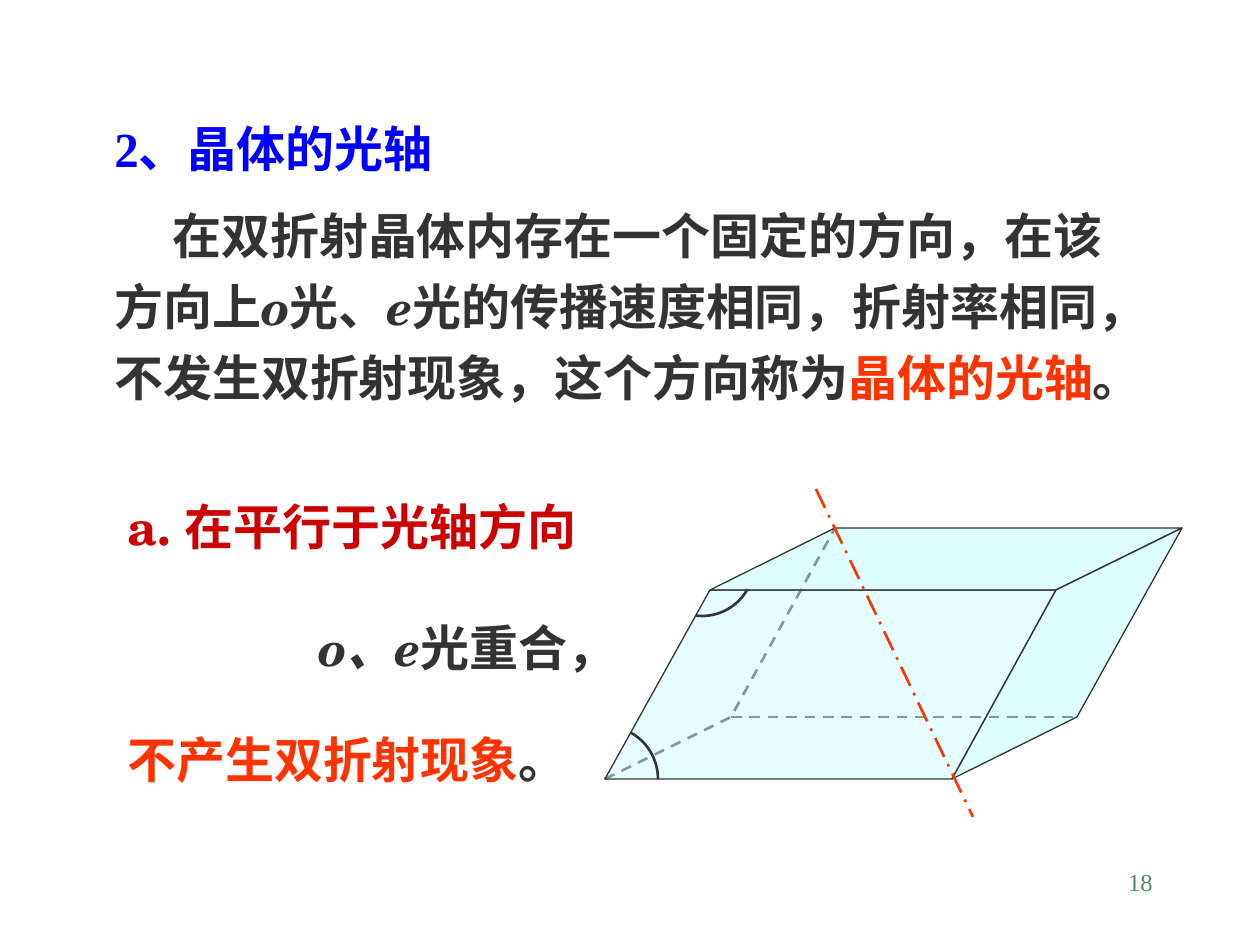
"""Build the slide on the optic axis of a crystal."""
from dataclasses import dataclass

from lxml import etree
from pptx import Presentation
from pptx.dml.color import RGBColor
from pptx.enum.dml import MSO_LINE
from pptx.enum.shapes import MSO_CONNECTOR, MSO_SHAPE
from pptx.enum.text import PP_ALIGN
from pptx.oxml.ns import qn
from pptx.util import Emu, Pt

PX = 914400 / 126
DASH = MSO_LINE.DASH
DASH_DOT = MSO_LINE.LONG_DASH_DOT
ARC = MSO_SHAPE.ARC
STRAIGHT = MSO_CONNECTOR.STRAIGHT
LEFT, RIGHT = PP_ALIGN.LEFT, PP_ALIGN.RIGHT
Point = tuple[int, int]


@dataclass(frozen=True)
class Theme:
    """Colours, fonts and sizes."""
    ink: str = "333333"
    blue: str = "0000FF"
    red: str = "CC0000"
    orange: str = "FF3300"
    green: str = "578963"
    front: str = "CCFFFF"
    side: str = "BDFFFF"
    body_font: str = "TeX Gyre Schola"
    head_font: str = "Times New Roman"
    body: int = 28
    small: int = 14
    thin: float = 0.75
    thick: float = 1.5
    spacing: float = 1.2
    opacity: int = 50000


T = Theme()


@dataclass(frozen=True)
class Run:
    """A stretch of text in one style."""
    text: str
    color: str = T.ink
    italic: bool = False


@dataclass(frozen=True)
class Label:
    """A text box of one paragraph."""
    box: tuple[int, int, int, int]
    runs: tuple[Run, ...]
    font: str = T.body_font
    size: int = T.body
    bold: bool = True
    align: PP_ALIGN = LEFT
    spacing: float = T.spacing
    indent: int = 0


@dataclass(frozen=True)
class Face:
    """A translucent face of the crystal."""
    points: tuple[Point, ...]
    fill: str


@dataclass(frozen=True)
class Angle:
    """An arc that marks a corner, in degrees clockwise from east."""
    center: Point
    radius: int
    start: int
    end: int


def px(n: int) -> Emu:
    """Turn pixels into EMU."""
    return Emu(round(n * PX))


def style_line(line, color: str, width: float, dash=None) -> None:
    """Set the colour, width and dash of a line."""
    line.color.rgb = RGBColor.from_string(color)
    line.width = Pt(width)
    if dash is not None:
        line.dash_style = dash


def draw_label(s, label: Label) -> None:
    """Add a text box run by run."""
    tf = s.shapes.add_textbox(*map(px, label.box)).text_frame
    tf.word_wrap = True
    p = tf.paragraphs[0]
    p.alignment = label.align
    p.line_spacing = label.spacing
    if label.indent:
        p._p.get_or_add_pPr().set("indent", str(px(label.indent)))
    for run in label.runs:
        r = p.add_run()
        r.text = run.text
        r.font.name = label.font
        r.font.size = Pt(label.size)
        r.font.bold = label.bold
        r.font.italic = run.italic
        r.font.color.rgb = RGBColor.from_string(run.color)


def draw_path(s, points: tuple[Point, ...], close: bool):
    """Add an outline through the points."""
    fb = s.shapes.build_freeform(*points[0], scale=PX)
    fb.add_line_segments(points[1:], close=close)
    sp = fb.convert_to_shape()
    sp.shadow.inherit = False
    return sp


def draw_face(s, face: Face) -> None:
    """Add a filled face with a thin edge."""
    sp = draw_path(s, face.points, True)
    sp.fill.solid()
    sp.fill.fore_color.rgb = RGBColor.from_string(face.fill)
    clr = sp._element.spPr.find(qn("a:solidFill")).find(qn("a:srgbClr"))
    etree.SubElement(clr, qn("a:alpha")).set("val", str(T.opacity))
    style_line(sp.line, T.ink, T.thin)


def draw_line(s, start: Point, end: Point, color: str, dash) -> None:
    """Add a straight dashed line."""
    cx = s.shapes.add_connector(STRAIGHT, *map(px, start + end))
    style_line(cx.line, color, T.thick, dash)
    etree.SubElement(cx._element.spPr, qn("a:effectLst"))


def draw_angle(s, angle: Angle) -> None:
    """Add an angle mark."""
    x, y = angle.center
    d = 2 * angle.radius
    sp = s.shapes.add_shape(ARC, px(x - angle.radius), px(y - angle.radius), px(d), px(d))
    sp.adjustments[0] = angle.start * 0.6
    sp.adjustments[1] = angle.end * 0.6
    sp.shadow.inherit = False
    sp.fill.background()
    style_line(sp.line, T.ink, T.thick)


FRONT_BL, FRONT_BR, FRONT_TR, FRONT_TL = (605, 779), (952, 779), (1056, 590), (710, 590)
BACK_BL, BACK_BR, BACK_TR, BACK_TL = (731, 717), (1077, 717), (1182, 528), (835, 528)
FACES = (
    Face((FRONT_TL, FRONT_BL, FRONT_BR, FRONT_TR), T.front),
    Face((FRONT_TL, FRONT_TR, BACK_TR, BACK_TL), T.side),
    Face((FRONT_BR, BACK_BR, BACK_TR, FRONT_TR), T.side),
)
ANGLES = (Angle((605, 779), 53, 299, 0), Angle((702, 564), 52, 29, 97))
LABELS = (
    Label((903, 861, 262, 63), (Run("18", T.green),), T.head_font, T.small, False, RIGHT, 1.0),
    Label((102, 188, 1061, 244), (
        Run("在双折射晶体内存在一个固定的方向，在该方向上"),
        Run("o", italic=True),
        Run("光、"),
        Run("e", italic=True),
        Run("光的传播速度相同，折射率相同，不发生双折射现象，这个方向称为"),
        Run("晶体的光轴", T.orange),
        Run("。"),
    ), indent=58),
    Label((115, 479, 533, 84), (Run("a. 在平行于光轴方向", T.red),)),
    Label((306, 600, 329, 83), (Run("o、e", italic=True), Run("光重合，"))),
    Label((115, 712, 490, 83), (Run("不产生双折射现象", T.orange), Run("。"))),
    Label((102, 101, 558, 83), (Run("2、晶体的光轴", T.blue),), T.head_font),
)


def main() -> None:
    """Draw the slide and save it."""
    prs = Presentation()
    prs.slide_width, prs.slide_height = px(1260), px(945)
    s = prs.slides.add_slide(prs.slide_layouts[6])
    hidden = draw_path(s, (FRONT_BL, BACK_BL, BACK_TL), False)
    hidden.fill.background()
    style_line(hidden.line, T.ink, T.thick, DASH)
    draw_line(s, BACK_BL, BACK_BR, T.ink, DASH)
    for face in FACES:
        draw_face(s, face)
    draw_line(s, (816, 489), (973, 817), T.orange, DASH_DOT)
    for angle in ANGLES:
        draw_angle(s, angle)
    for label in LABELS:
        draw_label(s, label)
    prs.save("out.pptx")


if __name__ == "__main__":
    main()
